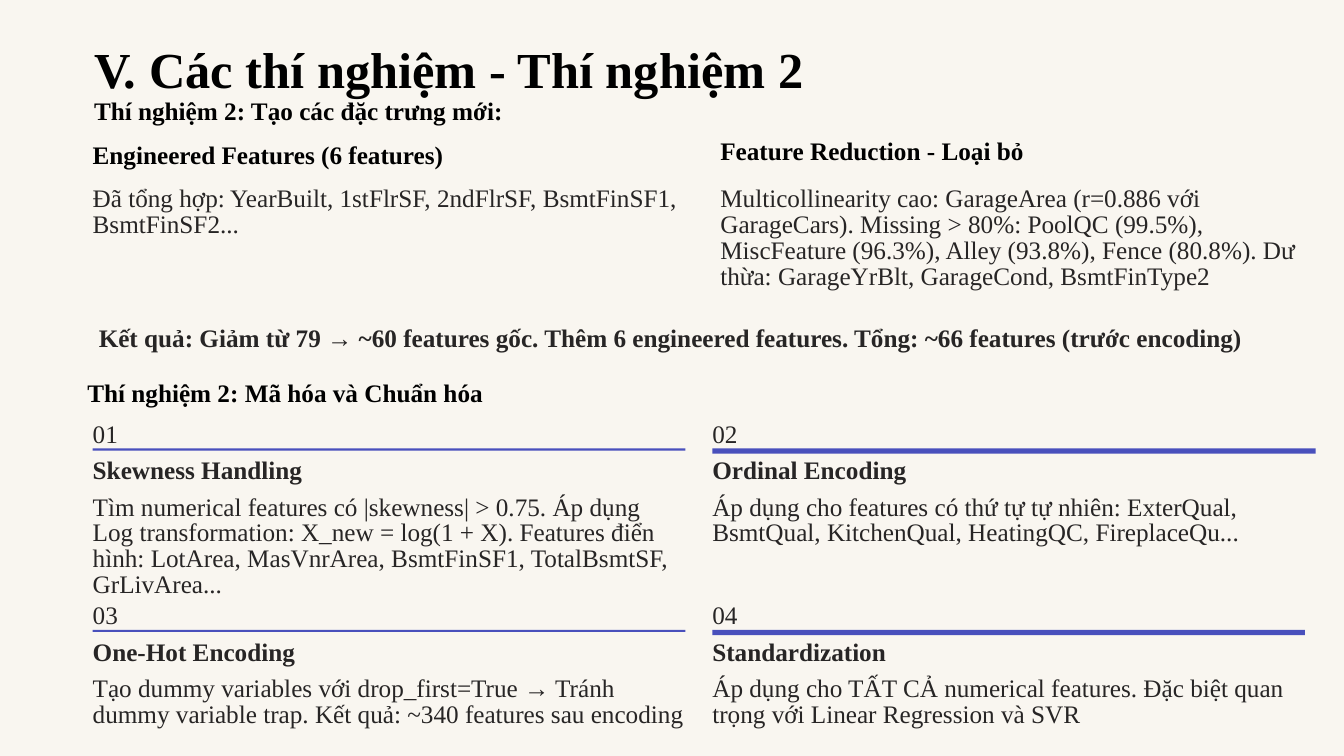
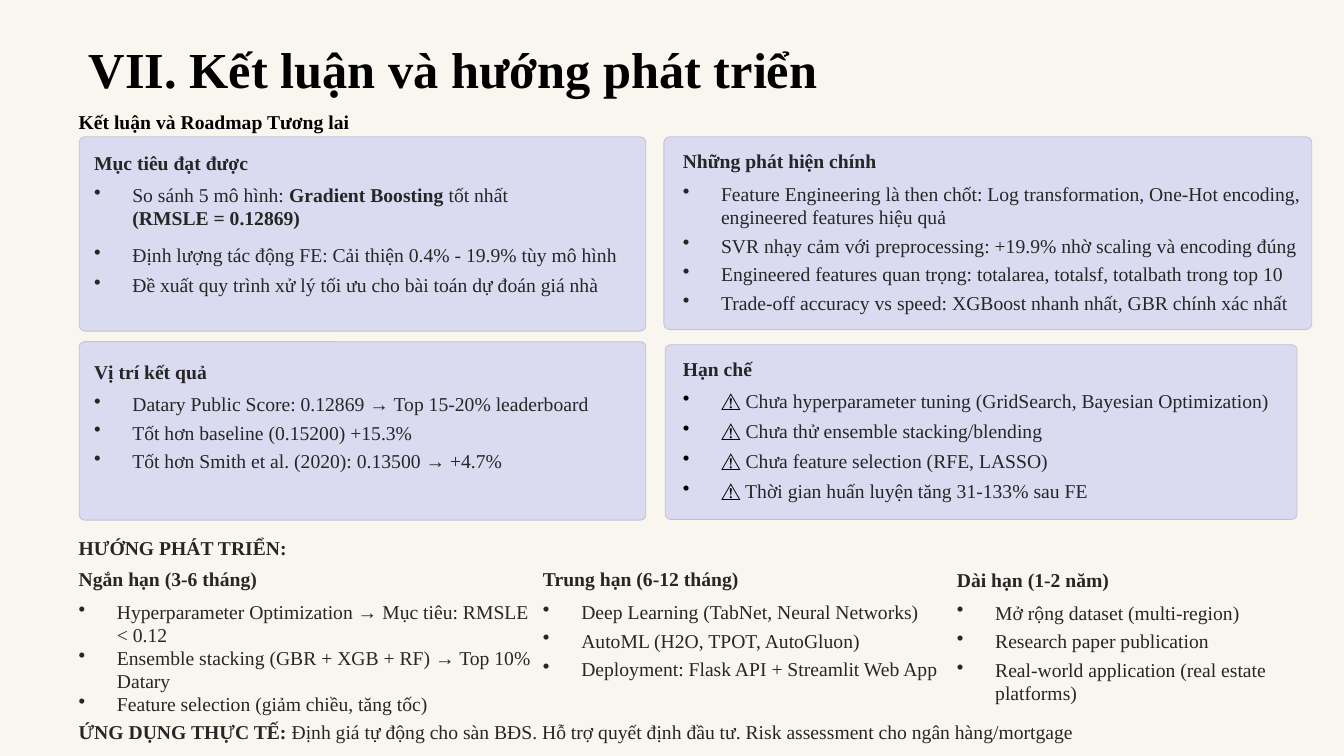
from lxml import etree
from pptx import Presentation
from pptx.dml.color import RGBColor
from pptx.enum.shapes import MSO_SHAPE
from pptx.oxml.ns import qn
from pptx.util import Inches, Pt

RECTANGLE = MSO_SHAPE.RECTANGLE
ROUNDED = MSO_SHAPE.ROUNDED_RECTANGLE
FONT = "Times New Roman"
COLOURS = {
    "paper": "F9F6F0",
    "title": "000000",
    "body": "272525",
    "rule": "4950BC",
    "card": "DADBF1",
    "card_line": "C0C1D7",
}
COLOURS = {name: RGBColor.from_string(value) for name, value in COLOURS.items()}

presentation = Presentation()
presentation.slide_width = Inches(13.33)
presentation.slide_height = Inches(7.5)
# All positions and sizes are percentages of the slide.
COLUMN = presentation.slide_width / 100
ROW = presentation.slide_height / 100
HANGING = int(2.85 * COLUMN)


def add_text(slide, left, top, width, paragraphs, size, spacing,
             bold=False, colour="body", gaps=None):
    """Write paragraphs; "*" toggles bold, a newline breaks the line.

    With gaps (points before each paragraph) the paragraphs are bulleted.
    """
    height = 3.5 * len(paragraphs)
    shape = slide.shapes.add_textbox(
        int(left * COLUMN), int(top * ROW), int(width * COLUMN), int(height * ROW))
    frame = shape.text_frame
    frame.word_wrap = True
    frame.margin_left = frame.margin_right = frame.margin_top = frame.margin_bottom = 0
    for index, text in enumerate(paragraphs):
        paragraph = frame.add_paragraph() if index else frame.paragraphs[0]
        paragraph.line_spacing = spacing
        if gaps:
            paragraph.space_before = Pt(gaps[index])
            properties = paragraph._p.get_or_add_pPr()
            properties.set("marL", str(HANGING))
            properties.set("indent", str(-HANGING))
            etree.SubElement(properties, qn("a:buChar")).set("char", "•")
        for part_index, part in enumerate(text.split("*")):
            for line_index, line in enumerate(part.split("\n")):
                if line_index:
                    paragraph.add_line_break()
                if not line:
                    continue
                run = paragraph.add_run()
                run.text = line
                run.font.name = FONT
                run.font.size = Pt(size)
                run.font.bold = bold != (part_index % 2 == 1)
                ink = "title" if line.startswith("⚠") else colour
                run.font.color.rgb = COLOURS[ink]
    return frame


def add_panel(slide, kind, left, top, width, height, fill):
    shape = slide.shapes.add_shape(
        kind, int(left * COLUMN), int(top * ROW), int(width * COLUMN), int(height * ROW))
    shape.shadow.inherit = False
    shape.fill.solid()
    shape.fill.fore_color.rgb = COLOURS[fill]
    shape.line.fill.background()
    return shape


slides = []
for title, left, top in [
    ("V. Các thí nghiệm - Thí nghiệm 2", 7, 6),
    ("VII. Kết luận và hướng phát triển", 6.6, 5.9),
]:
    slide = presentation.slides.add_slide(presentation.slide_layouts[6])
    slide.background.fill.solid()
    slide.background.fill.fore_color.rgb = COLOURS["paper"]
    add_text(slide, left, top, 86, [title], 36, 0.9, True, "title")
    slides.append(slide)
experiment, conclusion = slides

# Experiment: section headings, then the two feature columns
for left, top, spacing, heading in [
    (7, 13, 0.9, "Thí nghiệm 2: Tạo các đặc trưng mới:"),
    (6.9, 19.1, Pt(18), "Engineered Features (6 features)"),
    (53.6, 18.5, Pt(18), "Feature Reduction - Loại bỏ"),
    (6.5, 47.3, Pt(36), "Thí nghiệm 2: Mã hóa và Chuẩn hóa"),
]:
    add_text(experiment, left, top, 44, [heading], 18, spacing, True, "title")

for left, top, width, bold, text in [
    (6.9, 24.7, 45, False,
     "Đã tổng hợp: YearBuilt, 1stFlrSF, 2ndFlrSF, BsmtFinSF1,\nBsmtFinSF2..."),
    (53.6, 24.7, 44, False,
     "Multicollinearity cao: GarageArea (r=0.886 với GarageCars). "
     "Missing > 80%: PoolQC (99.5%), MiscFeature (96.3%), Alley (93.8%), "
     "Fence (80.8%). Dư thừa: GarageYrBlt, GarageCond, BsmtFinType2"),
    (7.35, 43.2, 92, True,
     "Kết quả: Giảm từ 79 → ~60 features gốc. Thêm 6 engineered features. "
     "Tổng: ~66 features (trước encoding)"),
]:
    add_text(experiment, left, top, width, [text], 18, Pt(18.5), bold)

# Experiment: four numbered steps in a two by two grid
steps = [
    (44.1, "Skewness Handling",
     "Tìm numerical features có |skewness| > 0.75. Áp dụng Log transformation: "
     "X_new = log(1 + X). Features điển hình: LotArea, MasVnrArea, BsmtFinSF1, "
     "TotalBsmtSF, GrLivArea..."),
    (44.9, "Ordinal Encoding",
     "Áp dụng cho features có thứ tự tự nhiên: ExterQual, BsmtQual, KitchenQual, "
     "HeatingQC, FireplaceQu..."),
    (44.1, "One-Hot Encoding",
     "Tạo dummy variables với drop_first=True → Tránh dummy variable trap. "
     "Kết quả: ~340 features sau encoding"),
    (44.1, "Standardization",
     "Áp dụng cho TẤT CẢ numerical features. Đặc biệt quan trọng với "
     "Linear Regression và SVR"),
]
for index, (width, heading, body) in enumerate(steps):
    grid_row, grid_column = divmod(index, 2)
    left = (6.9, 53)[grid_column]
    thickness = (0.3, 0.7)[grid_column]
    top = 55.9 + 24 * grid_row
    add_text(experiment, left, top, 5, [f"{index + 1:02}"], 18, Pt(18.5))
    add_panel(experiment, RECTANGLE, left, top + 3.4, width, thickness, "rule")
    add_text(experiment, left, top + 4.9, width, [heading], 18, Pt(18), True)
    add_text(experiment, left, top + 9.6, width, [body], 18, Pt(18.5))

# Conclusion: cards
add_text(conclusion, 5.85, 11.6, 40, ["Kết luận và Roadmap Tương lai"],
         14, Pt(32.5), True, "title")

limits = [
    "Chưa hyperparameter tuning (GridSearch, Bayesian Optimization)",
    "Chưa thử ensemble stacking/blending",
    "Chưa feature selection (RFE, LASSO)",
    "Thời gian huấn luyện tăng 31-133% sau FE",
]
cards = [
    ((5.9, 18.1, 42.15, 25.7), (7, 20.1)),
    ((49.4, 18.1, 48.2, 25.5), (50.8, 19.9)),
    ((5.9, 45.2, 42.15, 23.6), (7, 47.7)),
    ((49.5, 45.6, 47, 23.1), (50.8, 47.3)),
]
for box, _ in cards:
    card = add_panel(conclusion, ROUNDED, *box, "card")
    card.adjustments[0] = 0.03
    card.line.color.rgb = COLOURS["card_line"]
    card.line.width = Pt(0.6)

# Headed bullet lists: position, width, heading, gaps, items
lists = [
    (cards[0][1], 41, "Mục tiêu đạt được", (0, 9.5, 5), [
        "So sánh 5 mô hình: *Gradient Boosting* tốt nhất\n*(RMSLE = 0.12869)*",
        "Định lượng tác động FE: Cải thiện 0.4% - 19.9% tùy mô hình",
        "Đề xuất quy trình xử lý tối ưu cho bài toán dự đoán giá nhà",
    ]),
    (cards[1][1], 47.2, "Những phát hiện chính", (0, 4, 4, 4), [
        "Feature Engineering là then chốt: Log transformation, One-Hot encoding,\n"
        "engineered features hiệu quả",
        "SVR nhạy cảm với preprocessing: +19.9% nhờ scaling và encoding đúng",
        "Engineered features quan trọng: totalarea, totalsf, totalbath trong top 10",
        "Trade-off accuracy vs speed: XGBoost nhanh nhất, GBR chính xác nhất",
    ]),
    (cards[2][1], 41, "Vị trí kết quả", (0, 4, 4), [
        "Datary Public Score: 0.12869 → Top 15-20% leaderboard",
        "Tốt hơn baseline (0.15200) +15.3%",
        "Tốt hơn Smith et al. (2020): 0.13500 → +4.7%",
    ]),
    (cards[3][1], 46, "Hạn chế", (0, 5, 5, 5),
     [f"⚠️** {limit}" for limit in limits]),
    ((5.85, 75.2), 34.4, "Ngắn hạn (3-6 tháng)", (0, 0, 0), [
        "Hyperparameter Optimization → Mục tiêu: RMSLE\n< 0.12",
        "Ensemble stacking (GBR + XGB + RF) → Top 10%\nDatary",
        "Feature selection (giảm chiều, tăng tốc)",
    ]),
    ((40.4, 75.2), 30.6, "Trung hạn (6-12 tháng)", (0, 4, 4), [
        "Deep Learning (TabNet, Neural Networks)",
        "AutoML (H2O, TPOT, AutoGluon)",
        "Deployment: Flask API + Streamlit Web App",
    ]),
    ((71.2, 75.3), 27, "Dài hạn (1-2 năm)", (0, 4, 4), [
        "Mở rộng dataset (multi-region)",
        "Research paper publication",
        "Real-world application (real estate\nplatforms)",
    ]),
]
for (left, top), width, heading, gaps, items in lists:
    add_text(conclusion, left, top, width, [heading], 14, Pt(16), True)
    add_text(conclusion, left, top + 4.2, width, items, 14, Pt(16.5), gaps=gaps)

for top, text in [
    (70.9, "*HƯỚNG PHÁT TRIỂN:*"),
    (95.3, "*ỨNG DỤNG THỰC TẾ:* Định giá tự động cho sàn BĐS. "
           "Hỗ trợ quyết định đầu tư. Risk assessment cho ngân hàng/mortgage"),
]:
    add_text(conclusion, 5.85, top, 92, [text], 14, Pt(16.5))

presentation.save("out.pptx")
